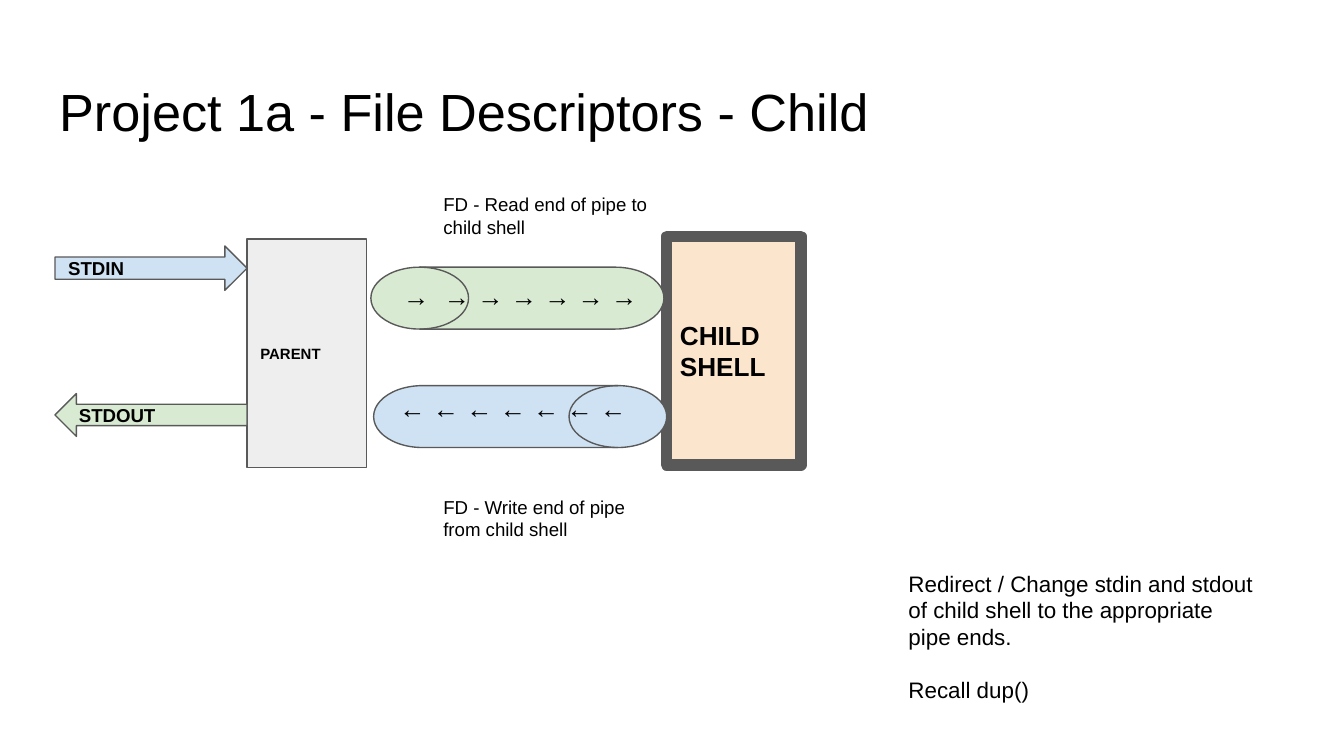
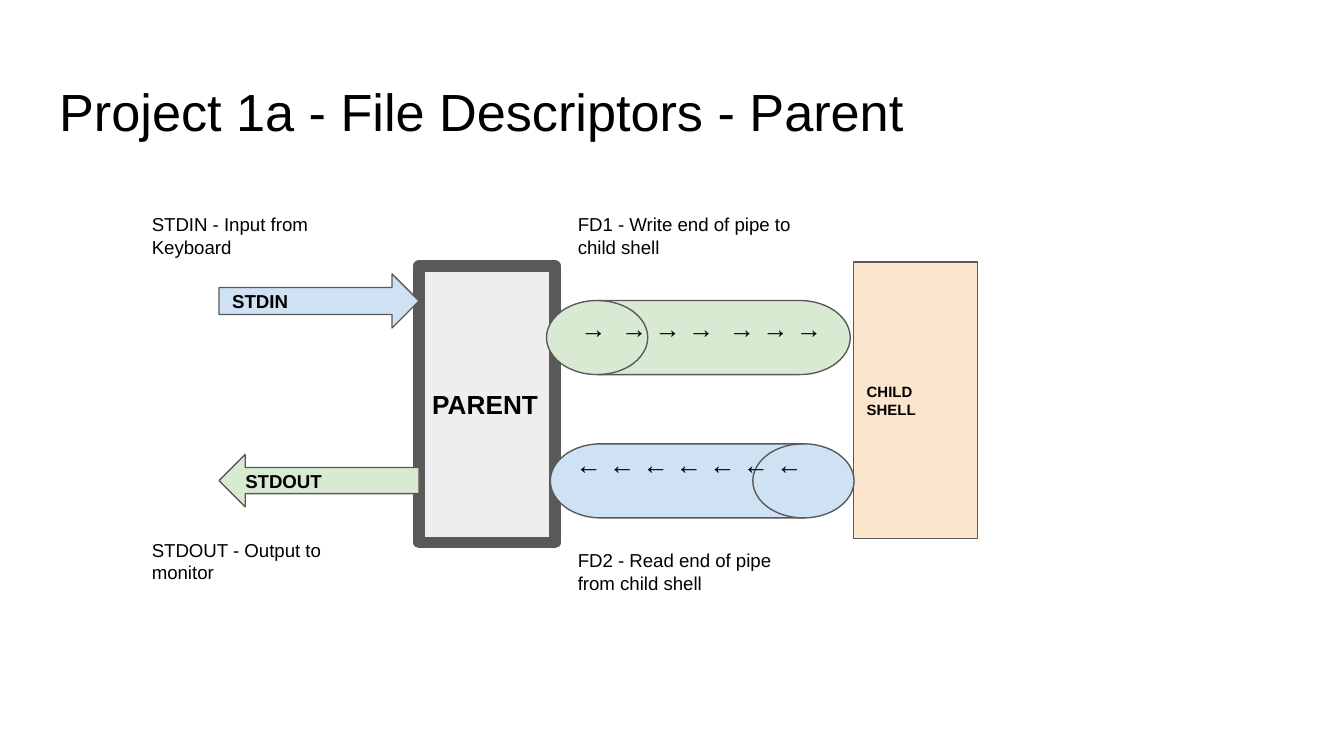
from dataclasses import dataclass

from lxml.etree import SubElement
from pptx import Presentation
from pptx.dml.color import RGBColor as RGB
from pptx.enum.shapes import MSO_SHAPE as SHAPE
from pptx.enum.text import MSO_ANCHOR as ANCHOR, PP_ALIGN as ALIGN
from pptx.oxml.ns import qn
from pptx.util import Cm, Pt


@dataclass(frozen=True)
class Theme:
    font: str = "Arial"
    ink: str = "000000"
    edge: str = "595959"
    grey: str = "EEEEEE"
    peach: str = "FCE5CD"
    green: str = "D9EAD3"
    blue: str = "CFE2F3"
    title: int = 28
    focus: int = 14
    note: int = 12
    label: int = 10
    small: int = 8
    thin: float = 0.75
    thick: float = 6
    inset: float = 0.25
    space: float = 0.14


class Deck:
    def __init__(self, theme):
        self.theme = theme
        self.prs = Presentation()
        self.prs.slide_width, self.prs.slide_height = Cm(25.4), Cm(14.29)
        self.slide = None

    def new_slide(self, title):
        self.slide = self.prs.slides.add_slide(self.prs.slide_layouts[6])
        self.text(0.87, 1.24, 23.67, 1.6, [title], self.theme.title)

    def frame(self, sp):
        tf = sp.text_frame
        tf.word_wrap = True
        inset = Cm(self.theme.inset)
        tf.margin_left = tf.margin_right = inset
        tf.margin_top = tf.margin_bottom = inset
        return tf

    def run(self, p, text, size, bold=False):
        r = p.add_run()
        r.text = text
        r.font.name, r.font.size, r.font.bold = self.theme.font, Pt(size), bold
        r.font.color.rgb = RGB.from_string(self.theme.ink)
        return r

    def add_lines(self, tf, lines, size, bold=False, gap=0):
        for i, line in enumerate(lines):
            p = tf.add_paragraph() if i else tf.paragraphs[0]
            p.alignment = ALIGN.LEFT
            if i and gap:
                p.space_before = Pt(gap)
            self.run(p, line, size, bold)

    def text(self, x, y, w, h, lines, size, gap=0):
        tf = self.frame(self.slide.shapes.add_textbox(Cm(x), Cm(y), Cm(w), Cm(h)))
        self.add_lines(tf, lines, size, gap=gap)
        return tf

    def label(self, x, y, line):
        self.text(x, y, 4.6, 1.24, [line], self.theme.label)

    def shape(self, kind, x, y, w, h, fill, line_width=None):
        sp = self.slide.shapes.add_shape(kind, Cm(x), Cm(y), Cm(w), Cm(h))
        sp.shadow.inherit = False
        sp.fill.solid()
        sp.fill.fore_color.rgb = RGB.from_string(fill)
        sp.line.color.rgb = RGB.from_string(self.theme.edge)
        sp.line.width = Pt(line_width or self.theme.thin)
        SubElement(sp.line._get_or_add_ln(), qn("a:round"))
        return sp

    def caption(self, sp, lines, size):
        tf = self.frame(sp)
        tf.vertical_anchor = ANCHOR.MIDDLE
        self.add_lines(tf, lines, size, bold=True)

    def process(self, box, lines, fill, focused):
        t = self.theme
        sp = self.shape(SHAPE.RECTANGLE, *box, fill, t.thick if focused else t.thin)
        self.caption(sp, lines, t.focus if focused else t.small)

    def stream(self, kind, box, line, fill):
        self.caption(self.shape(kind, *box, fill), [line], self.theme.label)

    def pipe(self, x, y, length, width, fill, rotation):
        shift = (length - width) / 2
        sp = self.shape(SHAPE.FLOWCHART_MAGNETIC_DISK, x + shift, y - shift, width, length, fill)
        sp.rotation = rotation

    def flow(self, x, y, w, h, groups, bold=False, indent=0):
        tf = self.text(x, y, w, h, [], self.theme.focus)
        tf.margin_left = Cm(self.theme.inset + indent)
        p = tf.paragraphs[0]
        for i, group in enumerate(groups):
            if i:
                wide = self.run(p, " ", self.theme.focus, bold)
                wide._r.get_or_add_rPr().set("spc", "390")
            self.run(p, group, self.theme.focus, bold)

    def diagram(self, parent, child, stdin, stdout, pipe_in, pipe_out, size, flow_in, flow_out,
                flow_width, groups, focus):
        t = self.theme
        length, width = size
        self.process(parent, ["PARENT"], t.grey, focus == "parent")
        self.process(child, ["CHILD", "SHELL"], t.peach, focus == "child")
        self.pipe(*pipe_in, length, width, t.green, 270)
        self.pipe(*pipe_out, length, width, t.blue, 90)
        self.flow(*flow_in, flow_width, width, groups)
        self.flow(*flow_out, flow_width, width, ["← ← ← ← ← ← ←"], bold=True, indent=t.space)
        self.stream(SHAPE.RIGHT_ARROW, stdin, "STDIN", t.blue)
        self.stream(SHAPE.LEFT_ARROW, stdout, "STDOUT", t.green)


def child_slide(deck):
    deck.new_slide("Project 1a - File Descriptors - Child")
    deck.diagram(
        parent=(4.67, 4.52, 2.26, 4.32), child=(12.6, 4.47, 2.54, 4.32),
        stdin=(1.04, 4.65, 3.63, 0.84), stdout=(1.04, 7.44, 3.63, 0.81),
        pipe_in=(7.01, 5.05), pipe_out=(7.06, 7.29), size=(5.54, 1.17),
        flow_in=(7.37, 5.05), flow_out=(7.16, 7.16), flow_width=5.36,
        groups=["→", "→ → → → → →"], focus="child")
    deck.label(8.13, 3.4, "FD - Read end of pipe to child shell")
    deck.label(8.13, 9.12, "FD - Write end of pipe from child shell")
    tf = deck.text(16.92, 10.01, 7.06, 3.23, [
        "Redirect / Change stdin and stdout of child shell to the appropriate pipe ends.",
        "Recall dup()"], deck.theme.note, gap=14)
    tf.margin_top = Cm(0.76)


def parent_slide(deck):
    deck.new_slide("Project 1a - File Descriptors - Parent")
    deck.diagram(
        parent=(7.92, 5.03, 2.57, 5.23), child=(16.13, 4.95, 2.34, 5.23),
        stdin=(4.14, 5.18, 3.78, 1.02), stdout=(4.14, 8.59, 3.78, 0.99),
        pipe_in=(10.33, 5.68), pipe_out=(10.4, 8.39), size=(5.74, 1.4),
        flow_in=(10.72, 5.66), flow_out=(10.49, 8.23), flow_width=5.56,
        groups=["→", "→ → →", "→ → →"], focus="parent")
    deck.label(2.62, 3.78, "STDIN - Input from Keyboard")
    deck.label(2.62, 9.93, "STDOUT - Output to monitor")
    deck.label(10.67, 3.78, "FD1 - Write end of pipe to child shell")
    deck.label(10.67, 10.13, "FD2 - Read end of pipe from child shell")


def main():
    deck = Deck(Theme())
    child_slide(deck)
    parent_slide(deck)
    deck.prs.save("out.pptx")


if __name__ == "__main__":
    main()
